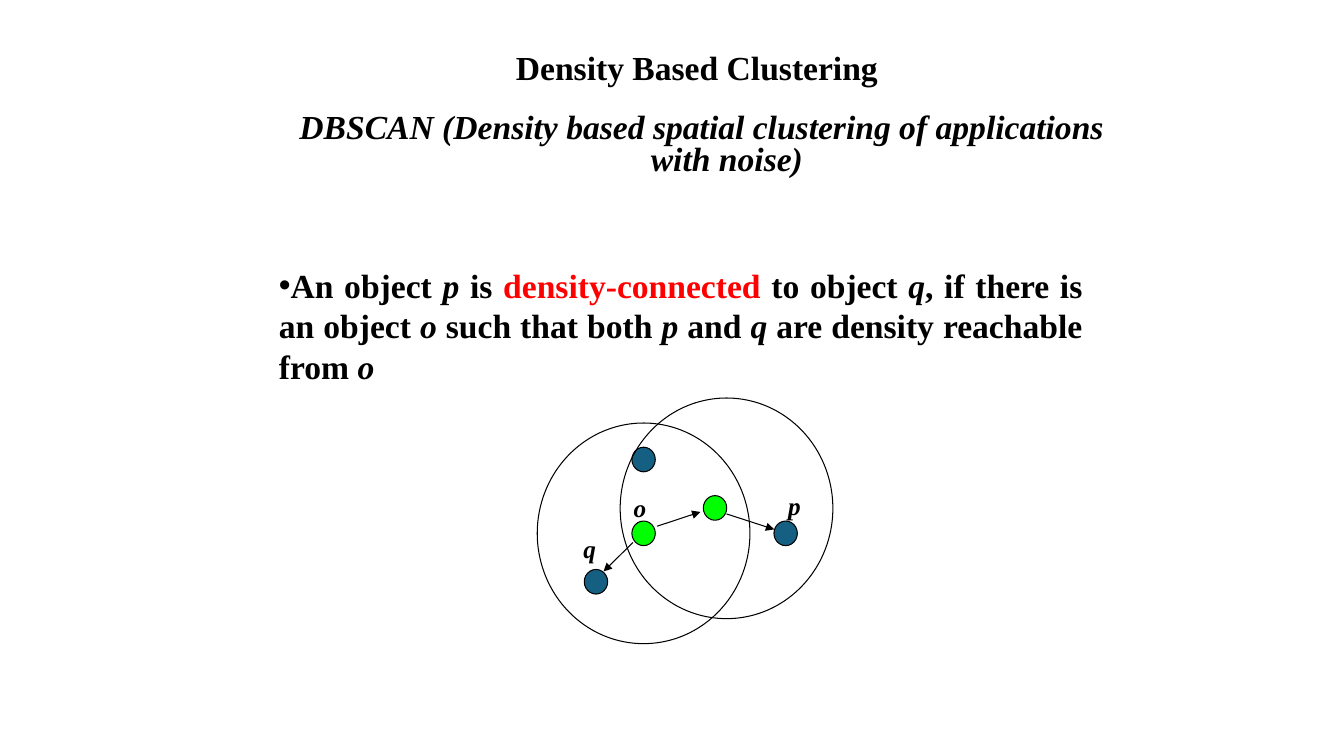
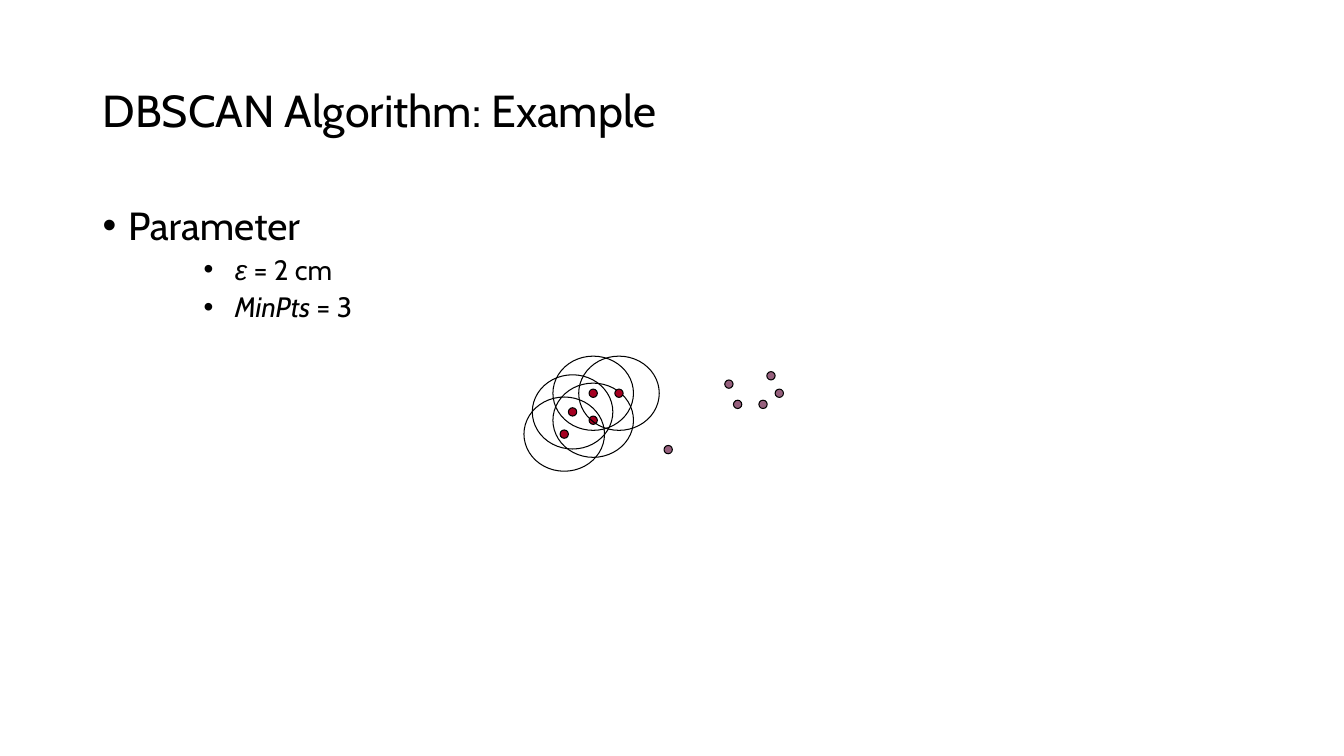
from lxml import etree
from pptx import Presentation
from pptx import util as u
from pptx.dml.color import RGBColor
from pptx.enum import shapes, text
from pptx.oxml.ns import qn

SERIF, SANS = "Times New Roman", "Cabin"
BLACK, RED = "000000", "FF0000"
GREEN, BLUE = "00FF00", "156082"
CORE_RED, PLUM = "A50021", "96607D"
HAIRLINE = u.Pt(0.75)
CENTER, JUSTIFY = text.PP_ALIGN.CENTER, text.PP_ALIGN.JUSTIFY
ITALIC = {"italic": True}


def color(hex_value):
    return RGBColor.from_string(hex_value)


def add_bullet(paragraph):
    properties = paragraph._p.get_or_add_pPr()
    etree.SubElement(properties, qn("a:buFont")).set("typeface", "Arial")
    etree.SubElement(properties, qn("a:buChar")).set("char", "•")


def add_paragraph(paragraph, runs, size, font=SERIF, bold=False, italic=False,
                  align=None, spacing=None, before=None, bullet=False,
                  margin=0, hanging=0):
    """Fill a paragraph; runs is a string or a list of (words, overrides)."""
    if align is not None:
        paragraph.alignment = align
    if spacing:
        paragraph.line_spacing = spacing
    if before:
        paragraph.space_before = u.Pt(before)
    properties = paragraph._p.get_or_add_pPr()
    properties.set("marL", str(u.Cm(margin)))
    properties.set("indent", str(-u.Cm(hanging)))
    if bullet:
        add_bullet(paragraph)
    for words, changes in [(runs, {})] if isinstance(runs, str) else runs:
        run = paragraph.add_run()
        run.text = words
        run.font.size = u.Pt(size)
        run.font.name = changes.get("font", font)
        run.font.bold = bold
        run.font.italic = changes.get("italic", italic)
        run.font.color.rgb = color(changes.get("color", BLACK))


def add_text(slide, box, runs, wrap=True, middle=False, **style):
    """Add a text box with one formatted paragraph and return its frame."""
    frame = slide.shapes.add_textbox(*map(u.Cm, box)).text_frame
    frame.word_wrap = wrap
    if middle:
        frame.vertical_anchor = text.MSO_ANCHOR.MIDDLE
    add_paragraph(frame.paragraphs[0], runs, **style)
    return frame


def add_ellipse(slide, center, size, fill=None):
    (x, y), (width, height) = center, size
    ellipse = slide.shapes.add_shape(
        shapes.MSO_SHAPE.OVAL, u.Cm(x - width / 2), u.Cm(y - height / 2),
        u.Cm(width), u.Cm(height))
    ellipse.shadow.inherit = False
    ellipse.line.color.rgb = color(BLACK)
    ellipse.line.width = HAIRLINE
    if fill:
        ellipse.fill.solid()
        ellipse.fill.fore_color.rgb = color(fill)
    else:
        ellipse.fill.background()


def add_arrow(slide, start, end):
    arrow = slide.shapes.add_connector(
        shapes.MSO_CONNECTOR.STRAIGHT, *map(u.Cm, start + end))
    arrow.line.color.rgb = color(BLACK)
    arrow.line.width = HAIRLINE
    properties = arrow._element.spPr
    head = etree.SubElement(properties.find(qn("a:ln")), qn("a:tailEnd"))
    head.set("type", "triangle")
    etree.SubElement(properties, qn("a:effectLst"))


def build_density_connected(slide):
    # Headings and definition
    add_text(slide, (6.35, 1.07, 22.43, 1.27), "Density Based Clustering",
             size=24, bold=True, align=CENTER)
    add_text(slide, (6.99, 2.74, 21.39, 1.27),
             "DBSCAN (Density based spatial clustering of applications with noise)",
             size=24, bold=True, italic=True, align=CENTER, spacing=0.8,
             margin=1.27, hanging=1.27)
    definition = [
        ("An object ", {}), ("p", ITALIC), (" is ", {}),
        ("density-connected ", {"color": RED}), ("to object ", {}),
        ("q", ITALIC), (", if there is an object ", {}), ("o", ITALIC),
        (" such that both ", {}), ("p", ITALIC), (" and ", {}), ("q", ITALIC),
        (" are density reachable from ", {}), ("o", ITALIC)]
    add_text(slide, (6.78, 6.55, 20.75, 3.33), definition,
             size=24, bold=True, align=JUSTIFY, bullet=True)

    # Points, reachability arrows and neighbourhoods
    origin = (16.22, 13.44)
    points = [(origin, GREEN), ((15.02, 14.66), BLUE), ((18.02, 12.8), GREEN),
              ((16.22, 11.58), BLUE), ((19.8, 13.44), BLUE)]
    for center, fill in points:
        add_ellipse(slide, center, (0.59, 0.62), fill)
    for start, end in [((16.56, 13.26), (17.65, 12.9)),
                       ((18.31, 12.95), (19.51, 13.34)),
                       ((15.95, 13.67), (15.21, 14.4))]:
        add_arrow(slide, start, end)
    for center in (origin, (18.31, 12.81)):
        add_ellipse(slide, center, (5.36, 5.56))

    # Point names
    for name, left, top in [("q", 14.45, 13.31), ("p", 19.61, 12.22),
                            ("o", 15.72, 12.27)]:
        add_text(slide, (left, top, 0.7, 1.02), name, wrap=False,
                 size=18, bold=True, italic=True)


def build_example(slide):
    # Title and parameters
    add_text(slide, (2.34, 1.02, 29.21, 3.68), "DBSCAN Algorithm: Example",
             middle=True, size=32, font=SANS, spacing=0.9)
    body = add_text(slide, (2.34, 5.08, 29.21, 12.09), "Parameter",
                    size=28, font=SANS, spacing=0.9, bullet=True,
                    margin=0.64, hanging=0.64)
    for runs in ([("ε", {"font": "Arial", "italic": True}), (" = 2 cm", {})],
                 [("MinPts", ITALIC), (" = 3", {})]):
        add_paragraph(body.add_paragraph(), runs, size=20, font=SANS,
                      spacing=0.9, before=5, bullet=True,
                      margin=3.33, hanging=0.79)

    # Unvisited points
    dot = (0.21, 0.21)
    for center in [(18.37, 9.68), (19.43, 9.47), (19.64, 9.91),
                   (18.59, 10.19), (19.23, 10.19), (16.84, 11.33)]:
        add_ellipse(slide, center, dot, PLUM)

    # Cluster points, each with its neighbourhood
    for center in [(14.22, 10.94), (14.43, 10.38), (14.95, 9.91),
                   (14.95, 10.59), (15.6, 9.91)]:
        add_ellipse(slide, center, dot, CORE_RED)
        add_ellipse(slide, center, (2.03, 1.87))


def main():
    deck = Presentation()
    deck.slide_width, deck.slide_height = u.Cm(33.87), u.Cm(19.05)
    for build in (build_density_connected, build_example):
        build(deck.slides.add_slide(deck.slide_layouts[6]))
    deck.save("out.pptx")


if __name__ == "__main__":
    main()
